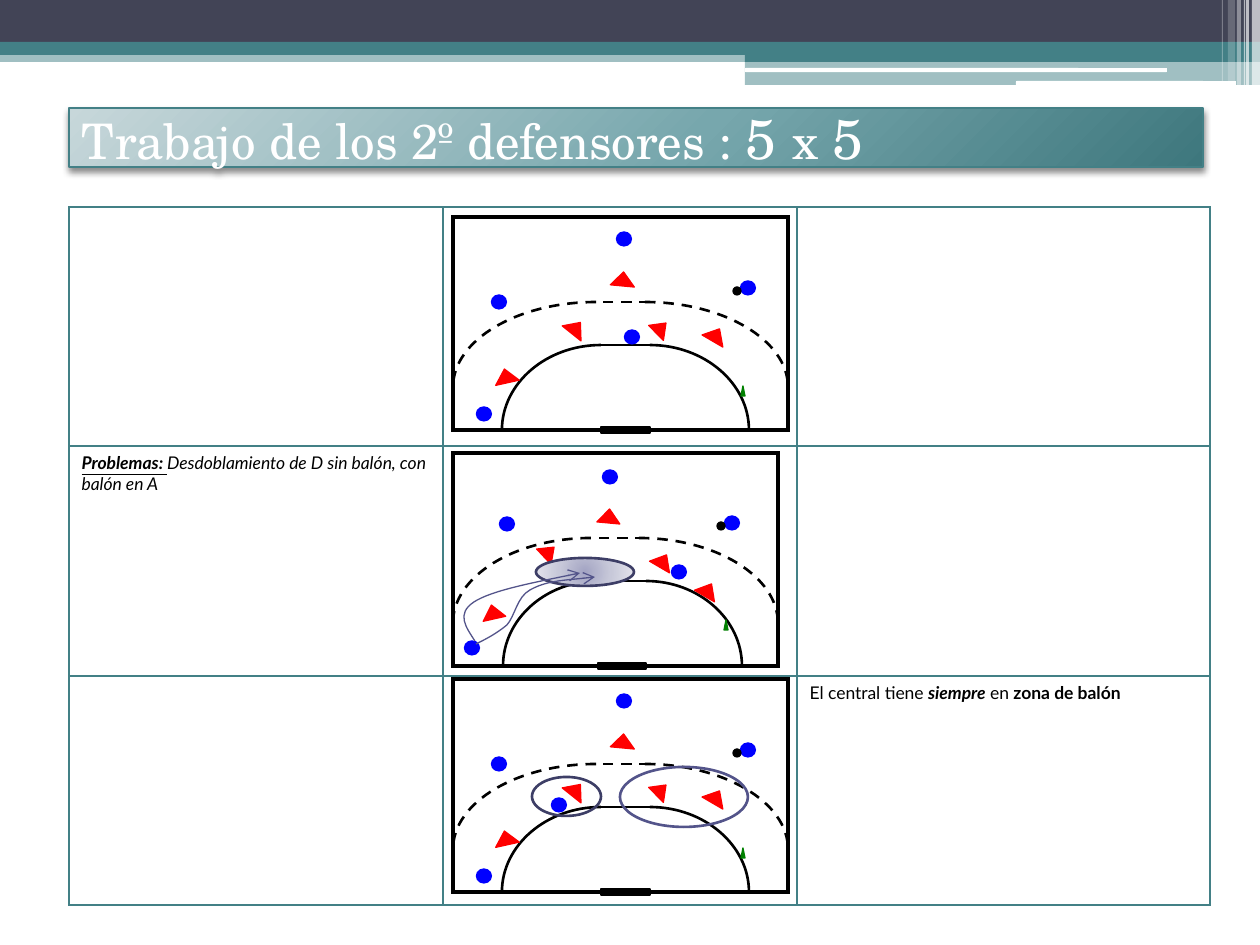
from lxml import etree
from pptx import Presentation
from pptx.dml.color import RGBColor
from pptx.enum.dml import MSO_LINE
from pptx.enum.shapes import MSO_CONNECTOR, MSO_SHAPE as SH
from pptx.enum.text import MSO_ANCHOR, PP_ALIGN
from pptx.oxml import parse_xml
from pptx.oxml.ns import nsdecls, qn
from pptx.util import Pt

PX = 914400 // 126
C = {"dark": "424456", "teal": "438086", "white": "FFFFFF", "black": "000000",
     "blue": "0000FF", "red": "FF0000", "green": "008000",
     "violet": "53548A", "indigo": "3D3E66"}
RGB = {name: RGBColor.from_string(value) for name, value in C.items()}

prs = Presentation()
prs.slide_width, prs.slide_height = 1260 * PX, 945 * PX
s = prs.slides.add_slide(prs.slide_layouts[5])


def add(kind, x, y, w, h, fill=None, line=None, weight=0.75, alpha=100):
    sp = s.shapes.add_shape(kind, *(round(v * PX) for v in (x, y, w, h)))
    sp.shadow.inherit = False
    if fill:
        sp.fill.solid()
        sp.fill.fore_color.rgb = RGB[fill]
        if alpha < 100:
            clr = sp.fill._xPr.find(".//" + qn("a:srgbClr"))
            etree.SubElement(clr, qn("a:alpha"), val=str(alpha * 1000))
    else:
        sp.fill.background()
    if line:
        sp.line.color.rgb = RGB[line]
        sp.line.width = Pt(weight)
    else:
        sp.line.fill.background()
    return sp


def curve(start, points, color, weight, dash=None):
    fb = s.shapes.build_freeform(round(start[0] * PX), round(start[1] * PX))
    fb.add_line_segments([(round(x * PX), round(y * PX)) for x, y in points],
                         close=False)
    sp = fb.convert_to_shape()
    # Every three line ends become the points of one Bezier segment
    path = sp._element.spPr.find(".//" + qn("a:path"))
    lines = path.findall(qn("a:lnTo"))
    for i in range(0, len(lines), 3):
        bezier = etree.SubElement(path, qn("a:cubicBezTo"))
        for line in lines[i:i + 3]:
            bezier.append(line[0])
            path.remove(line)
    sp.shadow.inherit = False
    sp.fill.background()
    sp.line.color.rgb = RGB[color]
    sp.line.width = Pt(weight)
    if dash:
        sp.line.dash_style = dash
    return sp


# Header bands
for x, y, w, h, color, alpha in [
        (0, 50, 1260, 12, "teal", 50), (0, 0, 1260, 42, "dark", 100),
        (0, 42, 1260, 13, "teal", 100), (745, 49, 515, 13, "teal", 100),
        (745, 61, 515, 24, "teal", 50)]:
    add(SH.RECTANGLE, x, y, w, h, color, alpha=alpha)
for x, y, w in [(745, 68, 422), (1016, 81, 220)]:
    add(SH.ROUNDED_RECTANGLE, x, y, w, 4, "white")
for x, w, h, alpha in [(1252, 8, 85, 65), (1246, 3, 85, 65), (1244, 1, 85, 60),
                       (1237, 4, 85, 40), (1228, 7, 81, 20), (1222, 1, 81, 30)]:
    add(SH.RECTANGLE, x, 0, w, h, "white", alpha=alpha)

# Title
title = s.shapes.title
title.left, title.top, title.width, title.height = (
    v * PX for v in (69, 108, 1134, 59))
title.line.color.rgb = RGB["teal"]
title.line.width = Pt(0.75)
tf = title.text_frame
tf.word_wrap = True
tf.vertical_anchor = MSO_ANCHOR.MIDDLE
p = tf.paragraphs[0]
p.alignment = PP_ALIGN.LEFT
p.font.name = "TeX Gyre Schola"
p.font.color.rgb = RGB["white"]
for text, size in [("Trabajo de los 2º defensores : ", 28), ("5 ", 32),
                   ("x ", 28), ("5", 32)]:
    r = p.add_run()
    r.text = text
    r.font.size = Pt(size)

# Table
tbl = s.shapes.add_table(3, 3, 69 * PX, 207 * PX, 1141 * PX, 698 * PX).table
tbl.first_row = tbl.horz_banding = False
for col, w in zip(tbl.columns, (374, 354, 413)):
    col.width = w * PX
for row, h in zip(tbl.rows, (239, 230, 229)):
    row.height = h * PX
for cell in tbl.iter_cells():
    tcPr = cell._tc.get_or_add_tcPr()
    for side in ("lnL", "lnR", "lnT", "lnB"):
        tcPr.append(parse_xml(
            f'<a:{side} {nsdecls("a")} w="12700"><a:solidFill>'
            f'<a:srgbClr val="{C["teal"]}"/></a:solidFill></a:{side}>'))
    cell.fill.background()
for row, col, runs in [
        (1, 0, [("Problemas: ", True, True, True),
                ("Desdoblamiento de D sin balón, con balón en A", False, True, False)]),
        (2, 2, [("El central tiene ", False, False, False),
                ("siempre", True, True, False), (" en ", False, False, False),
                ("zona de balón", True, False, False)])]:
    p = tbl.cell(row, col).text_frame.paragraphs[0]
    p.space_before = Pt(2)
    p.font.name, p.font.size = "Lato", Pt(10)
    p.font.color.rgb = RGB["black"]
    for text, bold, italic, underline in runs:
        r = p.add_run()
        r.text = text
        r.font.bold, r.font.italic, r.font.underline = bold, italic, underline

# Courts: x marks are frame, area, goal and dashed joins; y counts from the top
wide = (453, 788, 502, 749, 601, 650, 596, 645)
narrow = (453, 778, 503, 742, 598, 646, 591, 639)
attack = [(624, 22), (748, 71), (499, 85), (484, 197)]
defence = [(661, 111, 21, 45.4), (716, 118, 24, 30.2), (576, 111, 24, 38.7),
           (506, 159, 24, -12.5), (623, 62, 24, 5.3)]
attack_2 = [(610, 24), (732, 70), (679, 119), (507, 71), (472, 195)]
defence_2 = [(663, 108, 23, 30.2), (708, 137, 23, 30.2), (549, 99, 21, 46.9),
             (493, 159, 23, -12.5), (609, 63, 23, 5.3)]
K = 0.55
for top, marks, attackers, defenders, cone, ball in [
        (217, wide, attack + [(632, 120)], defence, (743, 174), (737, 74)),
        (453, narrow, attack_2, defence_2, (726, 172), (721, 73)),
        (679, wide, attack + [(559, 126)], defence, (743, 174), (737, 74))]:
    left, right, area_l, area_r, goal_l, goal_r, dash_l, dash_r = marks
    frame = add(SH.RECTANGLE, left, top, right - left, 213, "white", "black", 2)
    etree.SubElement(frame.line._get_or_add_ln(), qn("a:miter"), lim="800000")
    for y, dash, arcs in [
            (top + 128, None, [(goal_r, area_r), (goal_l, area_l)]),
            (top + 85, MSO_LINE.DASH, [(dash_r, right), (dash_l, left)])]:
        for x0, x1 in arcs:
            curve((x0, y), [(x0 + K * (x1 - x0), y), (x1, y + 85 * (1 - K)),
                            (x1, y + 85)], "black", 1.5, dash)
        cn = s.shapes.add_connector(MSO_CONNECTOR.STRAIGHT, goal_r * PX, y * PX,
                                    goal_l * PX, y * PX)
        cn.line.color.rgb = RGB["black"]
        cn.line.width = Pt(1.5)
        if dash:
            cn.line.dash_style = dash
        etree.SubElement(cn._element.spPr, qn("a:effectLst"))
    add(SH.RECTANGLE, goal_l, top + 210, goal_r - goal_l, 6, "black", "black")
    for x, y in attackers:
        add(SH.OVAL, x - 7.5, top + y - 7, 15, 14, "blue", "blue")
    for x, y, w, angle in defenders:
        sp = add(SH.ISOSCELES_TRIANGLE, x - w / 2, top + y - 7, w, 14, "red", "red")
        sp.rotation = angle
    add(SH.ISOSCELES_TRIANGLE, cone[0] - 2, top + cone[1] - 5, 4, 10, "green", "green")
    add(SH.OVAL, ball[0] - 4, top + ball[1] - 4, 8, 8, "black", "black")

# Zone and runs on the second court
zone = add(SH.OVAL, 536, 558, 98, 28, None, "indigo", 1.5)
for start, points in [
        ((475, 641), [(466, 627), (456, 614), (474, 602),
                      (491, 591), (536, 582), (580, 573)]),
        ((476, 644), [(486, 639), (496, 634), (507, 625),
                      (515, 616), (517, 597), (530, 590),
                      (546, 581), (569, 580), (595, 577)])]:
    sp = curve(start, points, "violet", 0.75)
    etree.SubElement(sp.line._get_or_add_ln(), qn("a:tailEnd"), type="arrow")

# Zones on the third court
add(SH.OVAL, 620, 767, 128, 60, None, "violet", 1.5)
add(SH.OVAL, 532, 777, 69, 39, None, "indigo", 1.5)

# Gradients and title shadow
for sp, stops, (l, t, r, b) in [
        (title, [(0, "C7D7DA"), (55, "77A7AD"), (100, "3E777D")], (-40, -90, 140, 190)),
        (zone, [(0, "A3A4C3"), (50, "C7C8D9"), (100, "E4E4EC")], (50, 50, 50, 50))]:
    sp.fill.background()
    spPr = sp._element.spPr
    gs = "".join(f'<a:gs pos="{pos * 1000}"><a:srgbClr val="{c}"/></a:gs>'
                 for pos, c in stops)
    spPr.replace(spPr.find(qn("a:noFill")), parse_xml(
        f'<a:gradFill {nsdecls("a")}><a:gsLst>{gs}</a:gsLst><a:path path="circle">'
        f'<a:fillToRect l="{l}000" t="{t}000" r="{r}000" b="{b}000"/>'
        '</a:path></a:gradFill>'))
title._element.spPr.append(parse_xml(
    f'<a:effectLst {nsdecls("a")}><a:outerShdw blurRad="50800" dist="25400" '
    'dir="5400000"><a:srgbClr val="000000"><a:alpha val="45000"/></a:srgbClr>'
    '</a:outerShdw></a:effectLst>'))

prs.save("out.pptx")
